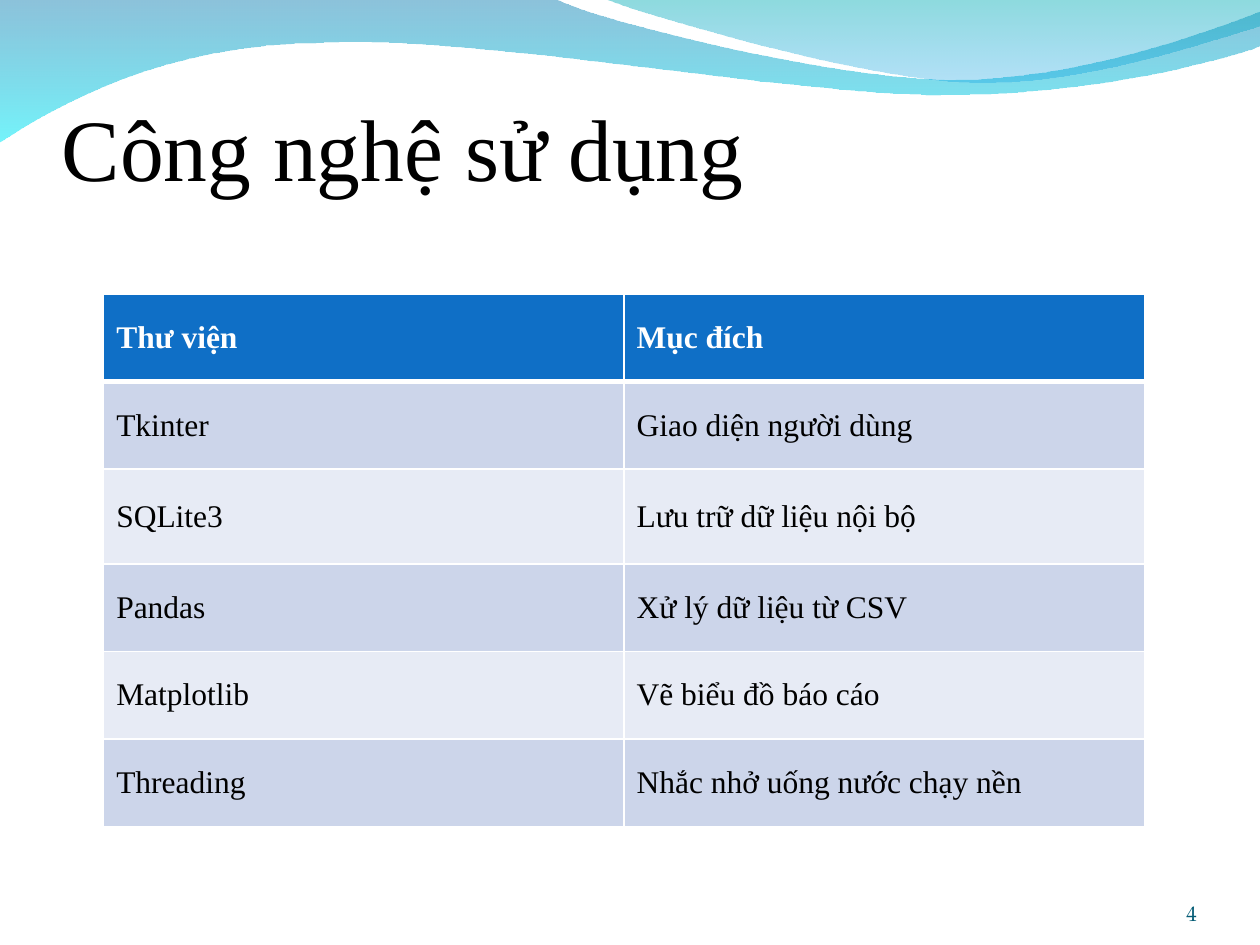
"""Build the slide listing the libraries used and the purpose of each."""
import lxml.etree
import pptx
import pptx.dml.color
import pptx.enum.text
import pptx.oxml
import pptx.oxml.ns
import pptx.util

THEME = {
    "body_font": "Times New Roman", "number_font": "TeX Gyre Pagella",
    "title_size": 50, "table_size": 18, "number_size": 12,
    "text": "000000", "header_text": "FFFFFF", "number": "045C75",
    "header": "0F6FC6", "bands": ("CCD5EA", "E7EBF5"),
    "border": "FFFFFF", "thin": 1, "thick": 3,
    "back_wave": (("0079AF", 45), ("00EBF8", 55)),
    "front_wave": (("00ADB6", 45), ("009BE5", 30)),
}

deck = pptx.Presentation()
deck.slide_width, deck.slide_height = pptx.util.Inches(10), pptx.util.Inches(7.5)
column, row = deck.slide_width / 100, deck.slide_height / 75
slide = deck.slides.add_slide(deck.slide_layouts[5])


def place(left, top, width, height):
    return [round(length) for length in (left * column, top * row, width * column, height * row)]


def format_text(frame, font, size, color, bold=False):
    for run in frame.paragraphs[0].runs:
        run.font.name = font
        run.font.size = pptx.util.Pt(size)
        run.font.bold = bold
        run.font.color.rgb = pptx.dml.color.RGBColor.from_string(color)


title = slide.shapes.title
title.left, title.top, title.width, title.height = place(4.9, 3.3, 90, 12.5)
title.text_frame.text = "Công nghệ sử dụng"
title.text_frame.paragraphs[0].alignment = pptx.enum.text.PP_ALIGN.LEFT
format_text(title.text_frame, THEME["body_font"], THEME["title_size"], THEME["text"])

number = slide.shapes.add_textbox(*place(86.7, 69.5, 8.3, 4))
number.text_frame.text = "4"
number.text_frame.paragraphs[0].alignment = pptx.enum.text.PP_ALIGN.RIGHT
format_text(number.text_frame, THEME["number_font"], THEME["number_size"], THEME["number"])

for frame, top_inset in ((title.text_frame, 0.5), (number.text_frame, 0)):
    frame.word_wrap = True
    frame.auto_size = pptx.enum.text.MSO_AUTO_SIZE.NONE
    frame.vertical_anchor = pptx.enum.text.MSO_ANCHOR.BOTTOM
    frame.margin_left = frame.margin_right = frame.margin_bottom = 0
    frame.margin_top = round(top_inset * row)

waves = (
    (THEME["back_wave"], (
        ((0, -0.1),), ((44, -0.1),),
        ((47.6, 1.7), (66.4, 6.3), (75.8, 6.3)),
        ((85.3, 6.3), (95.8, 2.6), (100, 0.9)),
        ((100.1, 3.6),),
        ((98.3, 4.4), (87, 7.6), (74.6, 7.5)),
        ((62.2, 7.5), (38.2, 2.8), (25.7, 3.4)),
        ((12.9, 3.5), (4.6, 8.3), (-0.1, 11.3)),
    )),
    (THEME["front_wave"], (
        ((47.9, -0.1),),
        ((50.9, 1.1), (68.2, 6.2), (76.9, 6.5)),
        ((85.6, 6.9), (96.1, 3.2), (100, 2.1)),
        ((100, 0),),
    )),
)
for gradient, segments in waves:
    points = [(round(x * column), round(y * row)) for segment in segments for x, y in segment]
    builder = slide.shapes.build_freeform(*points[0])
    builder.add_line_segments(points[1:], close=True)
    wave = builder.convert_to_shape()
    steps = iter(list(wave.element.spPr.iter(pptx.oxml.ns.qn("a:lnTo"))))
    for segment in segments[1:]:
        segment_steps = [next(steps) for point in segment]
        if len(segment) == 3:
            curve = lxml.etree.Element(pptx.oxml.ns.qn("a:cubicBezTo"))
            segment_steps[0].addprevious(curve)
            for step in segment_steps:
                curve.append(step[0])
                step.getparent().remove(step)
    wave.shadow.inherit = False
    wave.line.fill.background()
    wave.fill.gradient()
    wave.fill.gradient_angle = 270
    for stop, position, (color, opacity) in zip(wave.fill.gradient_stops, (0, 1), gradient):
        stop.position = position
        stop.color.rgb = pptx.dml.color.RGBColor.from_string(color)
    tints = list(wave.element.spPr.iter(pptx.oxml.ns.qn("a:srgbClr")))
    for tint, (color, opacity) in zip(tints, gradient):
        lxml.etree.SubElement(tint, pptx.oxml.ns.qn("a:alpha"), val=str(opacity * 1000))
    title.element.addprevious(wave.element)

libraries = (
    ("Thư viện", "Mục đích"),
    ("Tkinter", "Giao diện người dùng"),
    ("SQLite3", "Lưu trữ dữ liệu nội bộ"),
    ("Pandas", "Xử lý dữ liệu từ CSV"),
    ("Matplotlib", "Vẽ biểu đồ báo cáo"),
    ("Threading", "Nhắc nhở uống nước chạy nền"),
)
table_height, tall_row, tall_height = 42.25, 2, 7.55
row_height = (table_height - tall_height) / (len(libraries) - 1)
table = slide.shapes.add_table(
    len(libraries), 2, *place(8.23, 23.35, 82.6, table_height)).table
for index, entry in enumerate(libraries):
    is_header = index == 0
    table.rows[index].height = round((tall_height if index == tall_row else row_height) * row)
    background = THEME["header"] if is_header else THEME["bands"][(index - 1) % 2]
    for cell, words in zip(table.rows[index].cells, entry):
        cell.text_frame.text = words
        cell.vertical_anchor = pptx.enum.text.MSO_ANCHOR.MIDDLE
        format_text(cell.text_frame, THEME["body_font"], THEME["table_size"],
                    THEME["header_text"] if is_header else THEME["text"], is_header)
        for side in ("L", "R", "T", "B"):
            under_header = (index, side) in ((0, "B"), (1, "T"))
            weight = pptx.util.Pt(THEME["thick"] if under_header else THEME["thin"])
            cell._tc.get_or_add_tcPr().append(pptx.oxml.parse_xml(
                f'<a:ln{side} {pptx.oxml.ns.nsdecls("a")} w="{weight}"><a:solidFill>'
                f'<a:srgbClr val="{THEME["border"]}"/></a:solidFill></a:ln{side}>'))
        cell.fill.solid()
        cell.fill.fore_color.rgb = pptx.dml.color.RGBColor.from_string(background)

deck.save("out.pptx")
